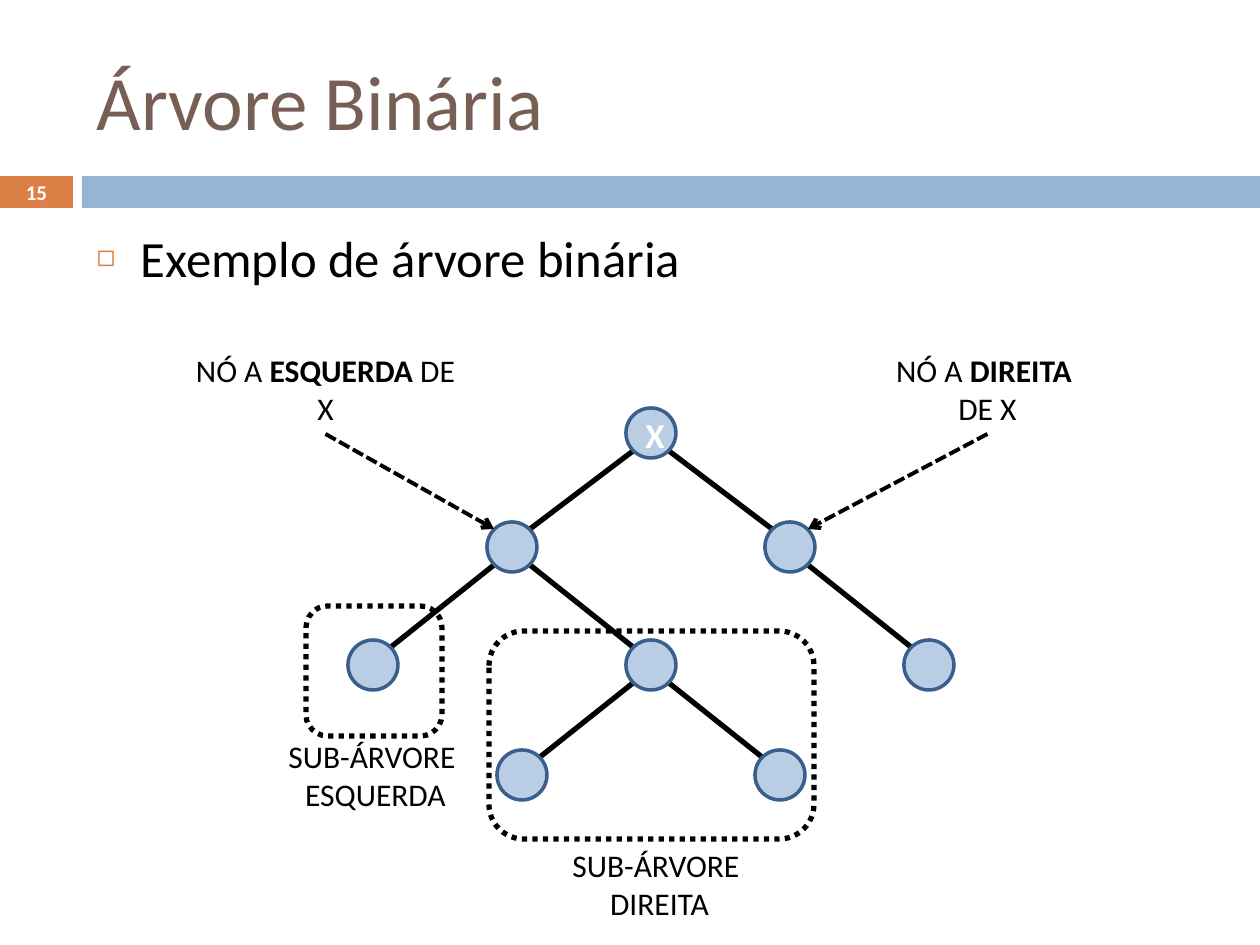
"""Build the slide that explains left and right nodes and subtrees of a binary tree."""
from typing import NamedTuple

from lxml import etree
from pptx import Presentation
from pptx.dml.color import RGBColor
from pptx.enum.dml import MSO_LINE
from pptx.enum.shapes import MSO_CONNECTOR, MSO_SHAPE
from pptx.enum.text import MSO_ANCHOR, MSO_AUTO_SIZE, PP_ALIGN
from pptx.oxml.ns import qn
from pptx.util import Emu, Pt

RECT, OVAL, ROUND = MSO_SHAPE.RECTANGLE, MSO_SHAPE.OVAL, MSO_SHAPE.ROUNDED_RECTANGLE
STRAIGHT = MSO_CONNECTOR.STRAIGHT
DOT, DASH = MSO_LINE.ROUND_DOT, MSO_LINE.DASH
LEFT, CENTER = PP_ALIGN.LEFT, PP_ALIGN.CENTER
TOP, MIDDLE = MSO_ANCHOR.TOP, MSO_ANCHOR.MIDDLE
NO_FIT = MSO_AUTO_SIZE.NONE

FONT = "Calibri"
PX_PER_INCH = 126
NODE_SIZE = 50
RIM = 18
BOTTOM_SITE = 2
COLORS = {
    "title": "775F55",
    "orange": "DD8047",
    "blue": "94B6D2",
    "node": "B9CDE5",
    "rim": "3A5F8C",
    "black": "000000",
    "white": "FFFFFF",
}


class Box(NamedTuple):
    x: int
    y: int
    w: int
    h: int


class Point(NamedTuple):
    x: int
    y: int


class Run(NamedTuple):
    text: str
    bold: bool = False


class Label(NamedTuple):
    box: Box
    lines: list[list[Run]]


class Callout(NamedTuple):
    label: Label
    node: str
    side: int


NODES = {
    "X": Point(651, 433),
    "L": Point(512, 547),
    "R": Point(790, 547),
    "LL": Point(373, 665),
    "LR": Point(651, 665),
    "RR": Point(929, 665),
    "LRL": Point(522, 775),
    "LRR": Point(780, 775),
}
EDGES = [("X", "L"), ("X", "R"), ("L", "LL"), ("L", "LR"), ("R", "RR"),
         ("LR", "LRL"), ("LR", "LRR")]
SUBTREES = [Box(306, 606, 136, 130), Box(489, 631, 325, 208)]
SUBTREE_LABELS = [
    Label(Box(194, 731, 363, 89), [[Run("SUB-ÁRVORE ")], [Run("ESQUERDA")]]),
    Label(Box(478, 840, 363, 89), [[Run("SUB-ÁRVORE ")], [Run("DIREITA")]]),
]
CALLOUTS = [
    Callout(Label(Box(174, 345, 303, 89),
                  [[Run("NÓ A "), Run("ESQUERDA", True), Run(" DE X")]]), "L", -1),
    Callout(Label(Box(859, 345, 257, 89),
                  [[Run("NÓ A "), Run("DIREITA ", True)], [Run("DE X")]]), "R", 1),
]


def px(n: int) -> Emu:
    return Emu(round(n * 914400 / PX_PER_INCH))


def rgb(name: str) -> RGBColor:
    return RGBColor.from_string(COLORS[name])


def place(sp, box: Box) -> None:
    sp.left, sp.top, sp.width, sp.height = map(px, box)


def add_run(p, run: Run, size: float, color: str) -> None:
    r = p.add_run()
    r.text = run.text
    r.font.name, r.font.size, r.font.bold = FONT, Pt(size), run.bold
    r.font.color.rgb = rgb(color)


def write(sp, lines: list[list[Run]], size: float, color: str, align, anchor):
    tf = sp.text_frame
    tf.word_wrap, tf.auto_size, tf.vertical_anchor = True, NO_FIT, anchor
    for i, line in enumerate(lines):
        p = tf.add_paragraph() if i else tf.paragraphs[0]
        p.alignment, p.space_before = align, Pt(0)
        for run in line:
            add_run(p, run, size, color)
    return tf


def add_shape(s, kind, box: Box, fill: str = "", line: str = "", width: float = 0):
    sp = s.shapes.add_shape(kind, *map(px, box))
    sp.shadow.inherit = False
    if fill:
        sp.fill.solid()
        sp.fill.fore_color.rgb = rgb(fill)
    else:
        sp.fill.background()
    if line:
        sp.line.color.rgb, sp.line.width = rgb(line), Pt(width)
    else:
        sp.line.fill.background()
    return sp


def add_label(s, label: Label):
    sp = s.shapes.add_textbox(*map(px, label.box))
    write(sp, label.lines, 18, "black", CENTER, TOP)
    return sp


def add_line(s, start: Point, end: Point, width: float):
    sp = s.shapes.add_connector(STRAIGHT, *map(px, start + end))
    sp.line.color.rgb, sp.line.width = rgb("black"), Pt(width)
    etree.SubElement(sp._element.spPr, qn("a:effectLst"))
    return sp


def add_edge(s, parent: Point, child: Point) -> None:
    side = 1 if child.x > parent.x else -1
    add_line(s, Point(parent.x + side * RIM, parent.y + RIM),
             Point(child.x - side * RIM, child.y - RIM), 3)


def add_node(s, name: str, center: Point) -> None:
    half = NODE_SIZE // 2
    box = Box(center.x - half, center.y - half, NODE_SIZE, NODE_SIZE)
    sp = add_shape(s, OVAL, box, "node", "rim", 2)
    if name == "X":
        tf = write(sp, [[Run(name, True)]], 20, "white", CENTER, MIDDLE)
        tf.margin_left, tf.margin_top = px(8), px(4)
        tf.margin_right = tf.margin_bottom = 0
        tf.word_wrap = False


def add_callout(s, callout: Callout) -> None:
    box, node = callout.label.box, NODES[callout.node]
    sp = add_label(s, callout.label)
    arrow = add_line(s, Point(box.x + box.w // 2, box.y + box.h),
                     Point(node.x + callout.side * RIM, node.y - RIM), 2.25)
    arrow.begin_connect(sp, BOTTOM_SITE)
    arrow.line.dash_style = DASH
    ln = arrow.line._get_or_add_ln()
    ln.find(qn("a:prstDash")).set("val", "sysDash")
    etree.SubElement(ln, qn("a:tailEnd"), type="arrow")


def add_bullet(p) -> None:
    pPr = p._p.get_or_add_pPr()
    pPr.set("marL", str(px(44)))
    pPr.set("indent", str(-px(44)))
    color = etree.SubElement(pPr, qn("a:buClr"))
    etree.SubElement(color, qn("a:srgbClr"), val=COLORS["orange"])
    etree.SubElement(pPr, qn("a:buSzPct"), val="60000")
    etree.SubElement(pPr, qn("a:buChar"), char="◻")


def main() -> None:
    prs = Presentation()
    prs.slide_width, prs.slide_height = px(1260), px(945)
    s = prs.slides.add_slide(prs.slide_layouts[1])

    title, body = s.placeholders
    place(title, Box(84, 32, 1124, 136))
    write(title, [[Run("Árvore Binária")]], 44, "title", LEFT, MIDDLE)
    place(body, Box(84, 220, 1124, 620))
    tf = write(body, [[Run("Exemplo de árvore binária")]], 29, "black", LEFT, TOP)
    add_bullet(tf.paragraphs[0])

    number = add_shape(s, RECT, Box(0, 176, 73, 32), "orange")
    tf = write(number, [[Run("15", True)]], 12, "white", CENTER, MIDDLE)
    tf.margin_top = tf.margin_bottom = 0
    add_shape(s, RECT, Box(82, 176, 1178, 32), "blue")

    for parent, child in EDGES:
        add_edge(s, NODES[parent], NODES[child])
    for name, center in NODES.items():
        add_node(s, name, center)
    for box in SUBTREES:
        add_shape(s, ROUND, box, line="black", width=3).line.dash_style = DOT
    for label in SUBTREE_LABELS:
        add_label(s, label)
    for callout in CALLOUTS:
        add_callout(s, callout)

    prs.save("out.pptx")


if __name__ == "__main__":
    main()
